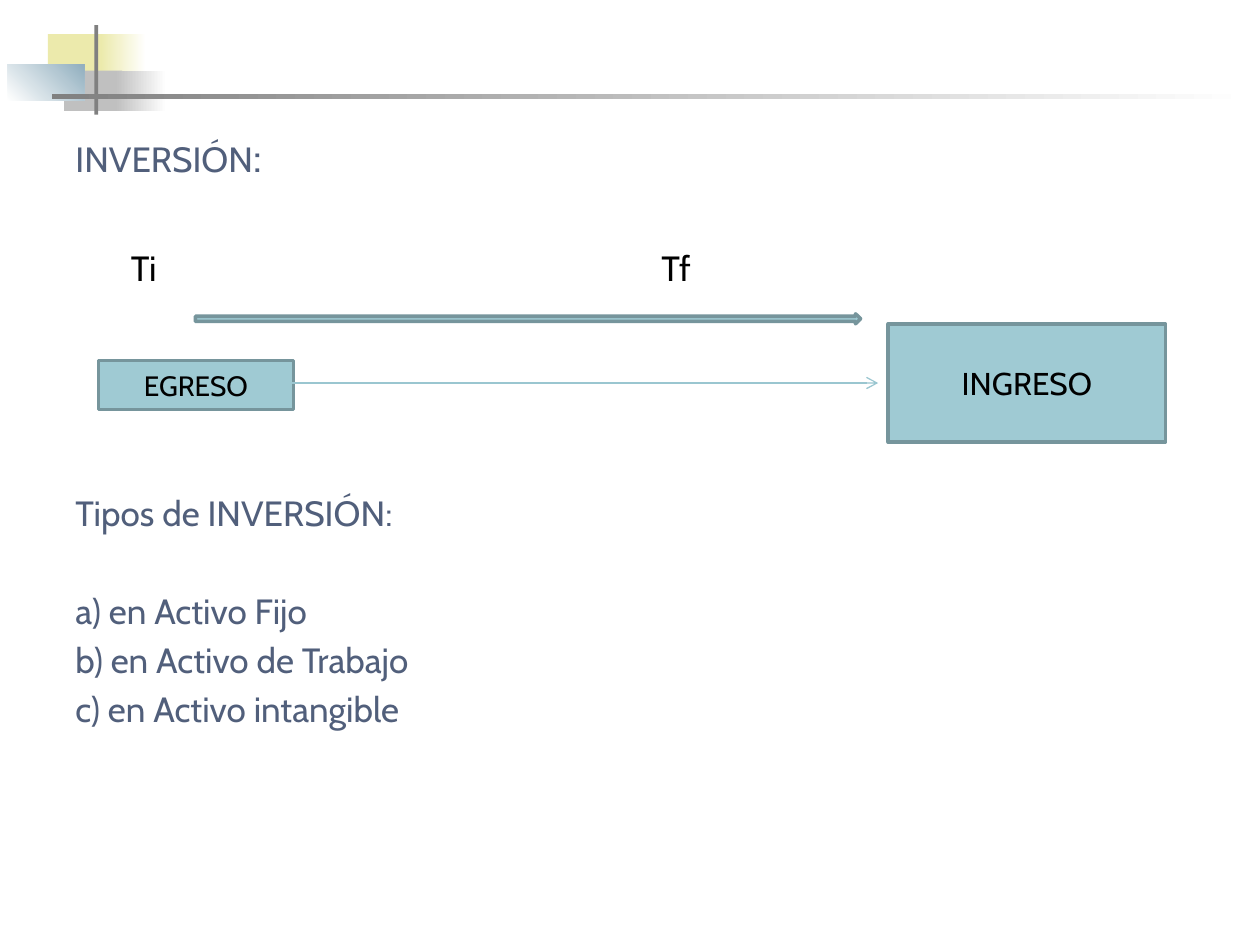
from lxml import etree
from pptx import Presentation
from pptx.dml.color import RGBColor
from pptx.enum.shapes import MSO_CONNECTOR, MSO_SHAPE
from pptx.enum.text import MSO_ANCHOR, PP_ALIGN
from pptx.oxml.ns import qn
from pptx.util import Inches, Pt

RECTANGLE = MSO_SHAPE.RECTANGLE
RIGHT_ARROW = MSO_SHAPE.RIGHT_ARROW
STRAIGHT = MSO_CONNECTOR.STRAIGHT
MIDDLE = MSO_ANCHOR.MIDDLE
CENTER = PP_ALIGN.CENTER

FONT = "Cabin"
BLACK, WHITE, GRAY, SILVER = "000000", "FFFFFF", "808080", "C0C0C0"
YELLOW, BLUE, SLATE = "ECEAAC", "91AFBF", "515F7B"
TEAL, TEAL_EDGE, TEAL_LINE = "9FCAD3", "76959C", "9AC6D0"

DECORATION = [
    ((0.38, 0.27, 0.48, 0.32), [YELLOW], 0),
    ((0.8, 0.27, 0.36, 0.32), [YELLOW, WHITE], 0),
    ((0.51, 0.56, 0.46, 0.32), [SILVER], 0),
    ((0.92, 0.56, 0.4, 0.32), [SILVER, WHITE], 0),
    ((0.06, 0.51, 0.61, 0.29), [WHITE, BLUE], 45),
    ((0.75, 0.2, 0.03, 0.71), [GRAY], 0),
    ((0.41, 0.75, 9.51, 0.04), [GRAY, WHITE], 0),
]

BODY = [
    (0, [("INVERSIÓN", 20, SLATE), (":", 24, SLATE)]),
    (37, [("\tTi\tTf", 20, BLACK)]),
    (116, [("Tipos de INVERSIÓN:", 20, SLATE)]),
    (32, [("a) en Activo Fijo", 20, SLATE)]),
    (4, [("b) en Activo de Trabajo", 20, SLATE)]),
    (4, [("c) en Activo intangible", 20, SLATE)]),
]
TIME_TABS = (0.44, 4.65)


def color(value):
    return RGBColor.from_string(value)


def add_span(para, text, size, tint):
    span = para.add_run()
    span.text = text
    span.font.name = FONT
    span.font.size = Pt(size)
    span.font.color.rgb = color(tint)


def add_shape(page, kind, place, tints, angle=0, edge=None):
    shape = page.shapes.add_shape(kind, *map(Inches, place))
    shape.shadow.inherit = False
    if len(tints) == 1:
        shape.fill.solid()
        shape.fill.fore_color.rgb = color(tints[0])
    else:
        shape.fill.gradient()
        shape.fill.gradient_angle = angle
        for stop, tint in zip(shape.fill.gradient_stops, tints):
            stop.color.rgb = color(tint)
    if edge:
        shape.line.color.rgb = color(edge)
        shape.line.width = Pt(2)
    else:
        shape.line.fill.background()
    return shape


def add_label_box(page, place, text, size):
    box = add_shape(page, RECTANGLE, place, [TEAL], edge=TEAL_EDGE)
    box.text_frame.vertical_anchor = MIDDLE
    para = box.text_frame.paragraphs[0]
    para.alignment = CENTER
    add_span(para, text, size, BLACK)


def add_tabs(para, positions):
    tabs = etree.SubElement(para._p.get_or_add_pPr(), qn("a:tabLst"))
    for position in positions:
        etree.SubElement(tabs, qn("a:tab"), pos=str(Inches(position)), algn="l")


def add_body(page):
    box = page.shapes.add_textbox(*map(Inches, (0.5, 0.99, 9, 6.22)))
    frame = box.text_frame
    frame.word_wrap = True
    for index, (gap, spans) in enumerate(BODY):
        para = frame.add_paragraph() if index else frame.paragraphs[0]
        para.space_before = Pt(gap)
        for text, size, tint in spans:
            add_span(para, text, size, tint)
        if "\t" in spans[0][0]:
            add_tabs(para, TIME_TABS)


def add_arrow(page, start, end):
    arrow = page.shapes.add_connector(STRAIGHT, *map(Inches, start + end))
    arrow.line.color.rgb = color(TEAL_LINE)
    arrow.line.width = Pt(0.75)
    etree.SubElement(arrow.line._get_or_add_ln(), qn("a:tailEnd"), type="arrow")
    etree.SubElement(arrow._element.spPr, qn("a:effectLst"))


def main():
    deck = Presentation()
    deck.slide_width, deck.slide_height = Inches(10), Inches(7.5)
    page = deck.slides.add_slide(deck.slide_layouts[6])
    for place, tints, angle in DECORATION:
        add_shape(page, RECTANGLE, place, tints, angle)
    add_body(page)
    add_label_box(page, (0.78, 2.86, 1.55, 0.39), "EGRESO", 16)
    add_label_box(page, (7.05, 2.57, 2.2, 0.94), "INGRESO", 18)
    add_arrow(page, (2.32, 3.04), (6.97, 3.04))
    add_shape(page, RIGHT_ARROW, (1.55, 2.49, 5.28, 0.08), [TEAL], edge=TEAL_EDGE)
    deck.save("out.pptx")


main()
